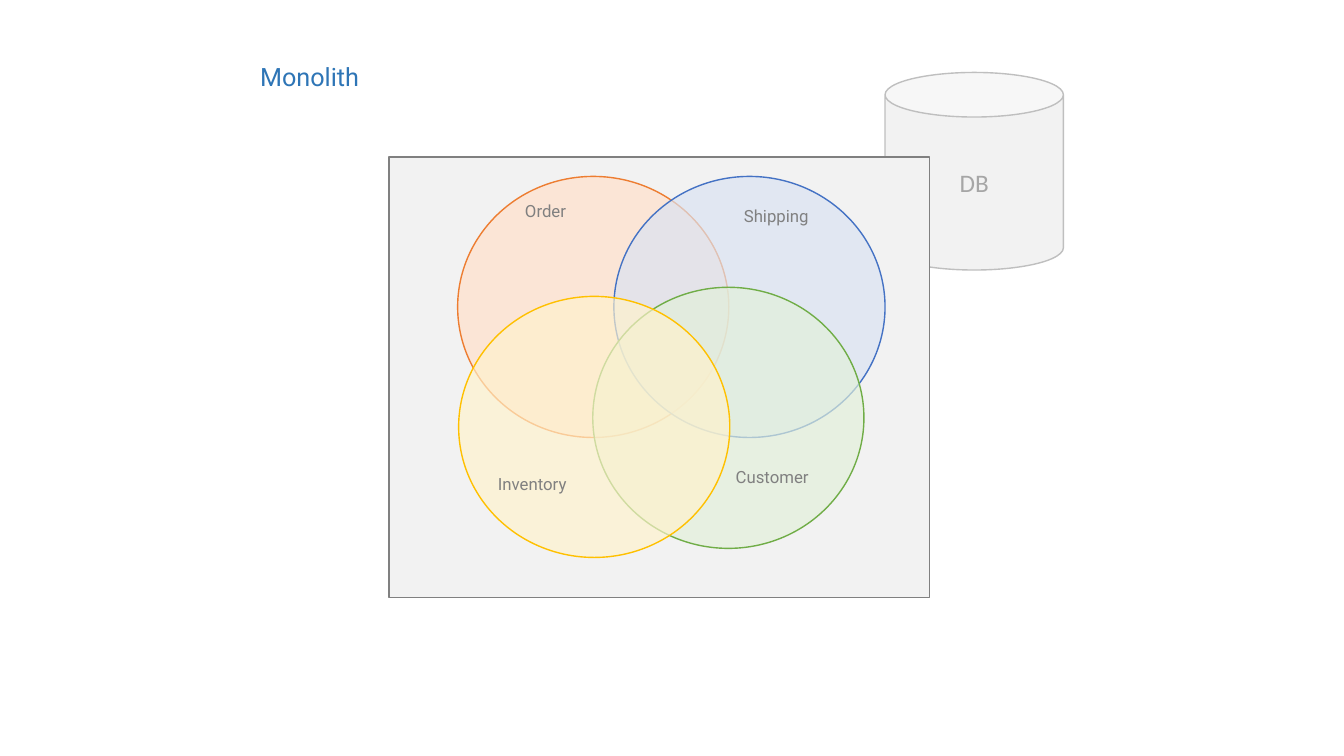
import pptx
import pptx.util
import pptx.dml.color
import pptx.enum.shapes
import pptx.enum.text
import pptx.oxml

Pt = pptx.util.Pt
SHAPES = pptx.enum.shapes.MSO_SHAPE
ALIGN = pptx.enum.text.PP_ALIGN
ANCHOR = pptx.enum.text.MSO_ANCHOR

COLORS = {
    "title": "2E75B6", "label": "808080", "panel": "F2F2F2",
    "panel_line": "808080", "database_line": "BFBFBF", "database_text": "A6A6A6",
    "order": "FBE5D6", "order_line": "ED7D31",
    "shipping": "DAE3F3", "shipping_line": "4472C4",
    "customer": "E2F0D9", "customer_line": "70AD47",
    "inventory": "FFF2CC", "inventory_line": "FFC000",
}
CIRCLE_SIZE = (193.7, 186.5)

presentation = pptx.Presentation()
presentation.slide_width, presentation.slide_height = Pt(960), Pt(540)
slide = presentation.slides.add_slide(presentation.slide_layouts[5])


def add_outlined(kind, left, top, width, height, fill, line, opacity=100):
    shape = slide.shapes.add_shape(kind, Pt(left), Pt(top), Pt(width), Pt(height))
    shape.shadow.inherit = False
    shape.fill.solid()
    shape.fill.fore_color.rgb = pptx.dml.color.RGBColor.from_string(COLORS[fill])
    shape.line.color.rgb = pptx.dml.color.RGBColor.from_string(COLORS[line])
    shape.line.width = Pt(1)
    if opacity < 100:
        color = shape.fill._xPr.find(".//" + pptx.oxml.ns.qn("a:srgbClr"))
        alpha = pptx.oxml.xmlchemy.OxmlElement("a:alpha")
        alpha.set("val", str(opacity * 1000))
        color.append(alpha)
    return shape


def write_text(shape, text, size, font, color, align=ALIGN.LEFT, anchor=ANCHOR.TOP):
    frame = shape.text_frame
    frame.text = text
    frame.word_wrap = True
    frame.auto_size = pptx.enum.text.MSO_AUTO_SIZE.NONE
    frame.vertical_anchor = anchor
    paragraph = frame.paragraphs[0]
    paragraph.alignment = align
    paragraph.font.size = Pt(size)
    paragraph.font.name = font
    paragraph.font.color.rgb = pptx.dml.color.RGBColor.from_string(COLORS[color])


# Title
title = slide.shapes.title
title.left, title.top, title.width, title.height = Pt(178.6), Pt(40.3), Pt(101.5), Pt(28.8)
write_text(title, "Monolith", 18, "Roboto", "title")

# Database behind the monolith panel
database = add_outlined(SHAPES.CAN, 632.2, 51.8, 127.4, 141.1, "panel", "database_line")
write_text(database, "DB", 18, "Calibri", "database_text", ALIGN.CENTER, ANCHOR.MIDDLE)
add_outlined(SHAPES.RECTANGLE, 277.9, 112.3, 385.9, 314.6, "panel", "panel_line")

# Overlapping domains: name, circle left and top, opacity, label left, top and width
domains = [
    ("Order", 326.9, 126, 100, 367.9, 139.7, 78.5),
    ("Shipping", 438.5, 126, 67, 524.2, 143.3, 78.5),
    ("Customer", 423.4, 205.2, 67, 518.4, 329.8, 87.8),
    ("Inventory", 327.6, 211.7, 67, 348.5, 334.8, 80.6),
]
for name, left, top, opacity, *_ in domains:
    key = name.lower()
    add_outlined(SHAPES.OVAL, left, top, *CIRCLE_SIZE, key, key + "_line", opacity)

# Labels above all circles
for name, _, _, _, left, top, width in domains:
    label = slide.shapes.add_textbox(Pt(left), Pt(top), Pt(width), Pt(21.6))
    write_text(label, name, 12, "Roboto", "label")

presentation.save("out.pptx")
